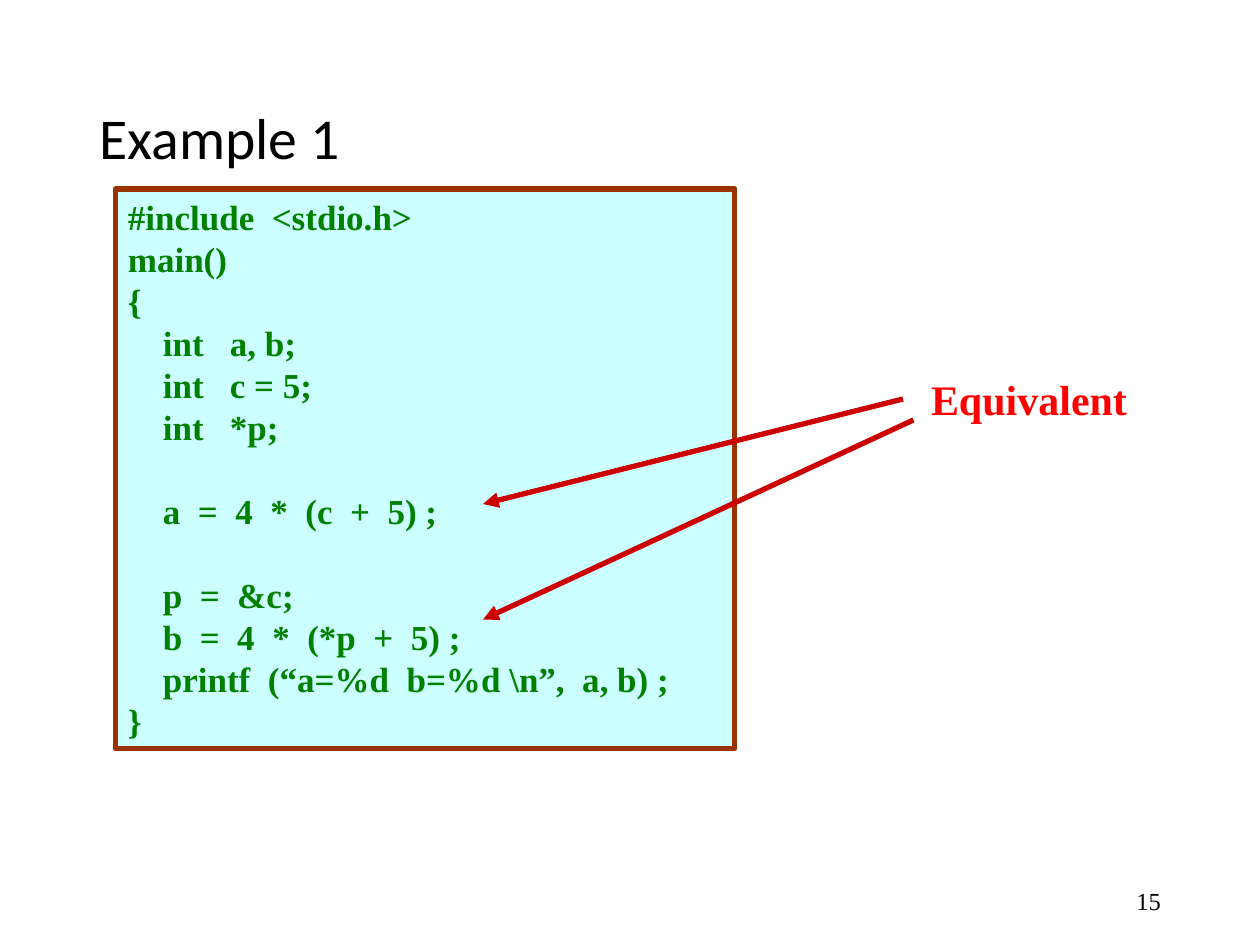
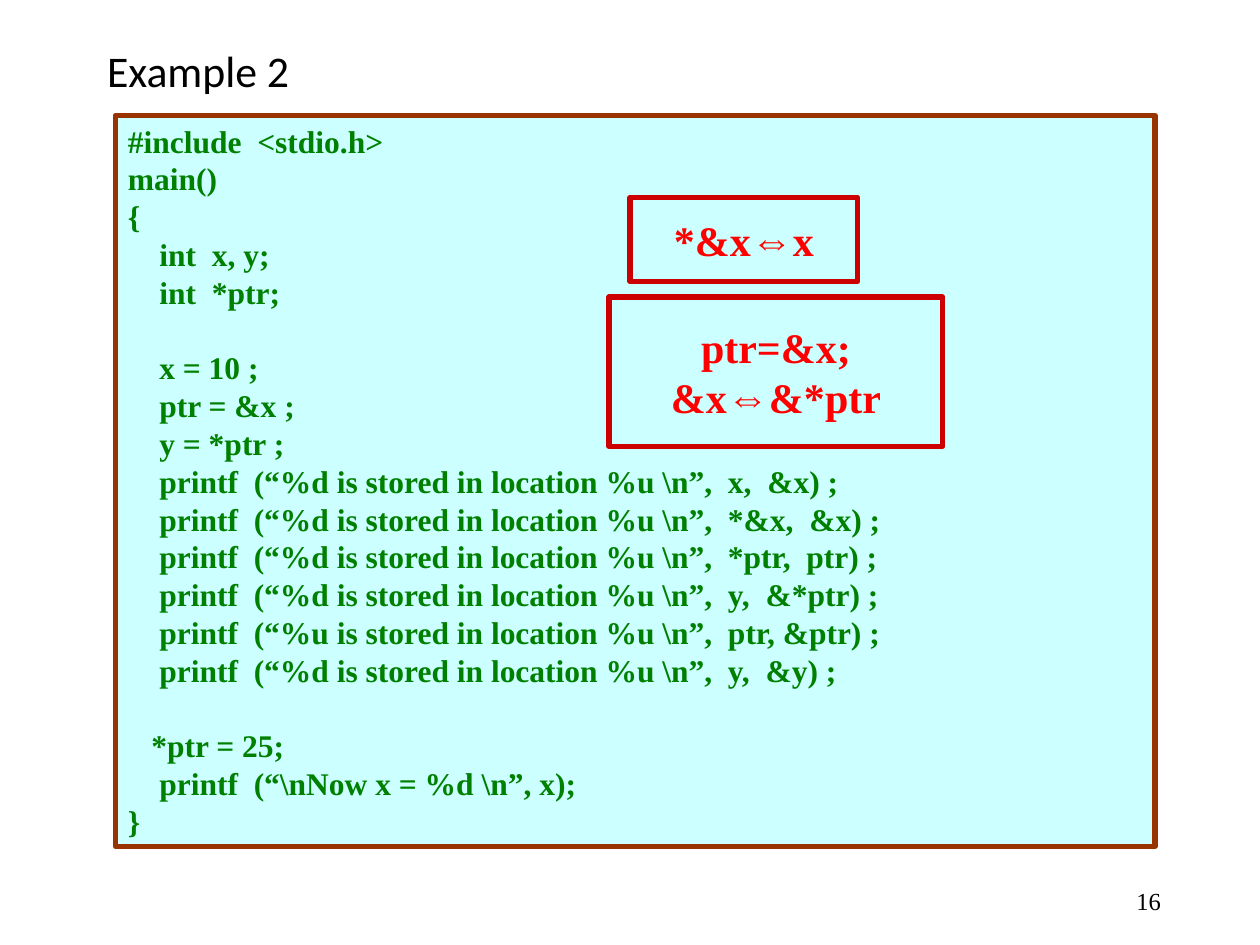
from dataclasses import dataclass
from itertools import groupby

from lxml.etree import SubElement
from pptx import Presentation
from pptx.dml.color import RGBColor
from pptx.enum.shapes import MSO_CONNECTOR as Connector, MSO_SHAPE as Shape
from pptx.enum.text import MSO_ANCHOR as Anchor, MSO_AUTO_SIZE as AutoSize, PP_ALIGN as Align
from pptx.oxml.ns import qn
from pptx.util import Inches, Pt

# Shared grid and style
WIDTH, HEIGHT = Inches(10), Inches(7.5)
COLUMNS, ROWS = 120, 90
BLACK, GREEN, RED = "000000", "008000", "FF0000"
PALE_CYAN, BROWN, DARK_RED = "CCFFFF", "993300", "CC0000"
SERIF, SANS, SYMBOL = "Times New Roman", "Calibri", "Arial"
LINE_WIDTH = Pt(3)
LINE_PITCH = 1.2
SPACE_WIDTH = 0.25
EQUIVALENT_SIGN = "⇔"


@dataclass(frozen=True)
class Area:
    column: float
    row: float
    columns: float
    rows: float

    def place(self) -> tuple[int, int, int, int]:
        return (across(self.column), down(self.row),
                across(self.columns), down(self.rows))


@dataclass(frozen=True)
class Listing:
    area: Area
    size: int
    code: str


@dataclass(frozen=True)
class Callout:
    area: Area
    lines: tuple[str, ...]


@dataclass(frozen=True)
class Arrow:
    start: tuple[float, float]
    end: tuple[float, float]


NUMBER_AREA = Area(84.75, 83.4, 27, 4.8)

# Slide content
EQUIVALENCE_CODE = Listing(Area(11, 18, 59, 53.3), 20, r"""#include  <stdio.h>
main()
{
    int   a, b;
    int   c = 5;
    int   *p;

    a  =  4  *  (c  +  5) ;

    p  =  &c;
    b  =  4  *  (*p  +  5) ;
    printf  (“a=%d  b=%d \n”,  a, b) ;
}""")
POINTER_CODE = Listing(Area(11, 11, 99, 69.6), 18, r"""#include  <stdio.h>
main()
{
    int  x, y;
    int  *ptr;

    x = 10 ;
    ptr = &x ;
    y = *ptr ;
    printf  (“%d is stored in location %u \n”,  x,  &x) ;
    printf  (“%d is stored in location %u \n”,  *&x,  &x) ;
    printf  (“%d is stored in location %u \n”,  *ptr,  ptr) ;
    printf  (“%d is stored in location %u \n”,  y,  &*ptr) ;
    printf  (“%u is stored in location %u \n”,  ptr, &ptr) ;
    printf  (“%d is stored in location %u \n”,  y,  &y) ;

   *ptr = 25;
    printf  (“\nNow x = %d \n”, x);
}""")
EQUIVALENT_LABEL = Area(84, 35, 28, 6)
EQUIVALENT_ARROWS = (Arrow((86, 38), (46, 48)), Arrow((87, 40), (46, 59)))
CALLOUTS = (
    Callout(Area(60, 18.8, 21.7, 8), ("*&x⇔x",)),
    Callout(Area(58, 28.3, 31.8, 14.2), ("ptr=&x;", "&x⇔&*ptr")),
)


def across(columns: float) -> int:
    return round(WIDTH * columns / COLUMNS)


def down(rows: float) -> int:
    return round(HEIGHT * rows / ROWS)


def color(value: str) -> RGBColor:
    return RGBColor.from_string(value)


def style(font, name: str, size: float, value: str, bold: bool = False) -> None:
    font.name, font.size, font.bold = name, Pt(size), bold
    font.color.rgb = color(value)


# Drawing functions
def add_page(deck, title: str, area: Area, size: int, number: int):
    page = deck.slides.add_slide(deck.slide_layouts[5])
    heading = page.shapes.title
    heading.left, heading.top, heading.width, heading.height = area.place()
    frame = heading.text_frame
    frame.text = title
    frame.auto_size = AutoSize.NONE
    frame.vertical_anchor = Anchor.MIDDLE
    para = frame.paragraphs[0]
    para.alignment, para.line_spacing = Align.LEFT, 0.9
    style(para.font, SANS, size, BLACK)
    add_label(page.shapes, str(number), NUMBER_AREA, 14, BLACK, Align.RIGHT)
    return page


def add_label(shapes, text: str, area: Area, size: int, value: str,
              alignment: Align, bold: bool = False) -> None:
    box = shapes.add_textbox(*area.place())
    frame = box.text_frame
    frame.word_wrap = True
    frame.vertical_anchor = Anchor.MIDDLE
    para = frame.paragraphs[0]
    para.text, para.alignment = text, alignment
    style(para.font, SERIF, size, value, bold)


def add_panel(shapes, area: Area, border: str, anchor: Anchor):
    panel = shapes.add_shape(Shape.RECTANGLE, *area.place())
    panel.shadow.inherit = False
    panel.fill.solid()
    panel.fill.fore_color.rgb = color(PALE_CYAN)
    panel.line.color.rgb = color(border)
    panel.line.width = LINE_WIDTH
    panel.text_frame.vertical_anchor = anchor
    return panel.text_frame


def add_listing(shapes, listing: Listing) -> None:
    frame = add_panel(shapes, listing.area, BROWN, Anchor.TOP)
    pitch = Pt(listing.size * LINE_PITCH)
    para, gap = frame.paragraphs[0], False
    for line in listing.code.splitlines():
        # An empty line of code becomes space above the next one
        if not line:
            gap = True
            continue
        if para.runs:
            para = frame.add_paragraph()
        statement = line.lstrip()
        para.text, para.alignment = statement, Align.LEFT
        para.line_spacing = pitch
        para.space_before = pitch if gap else Pt(0)
        spaces = len(line) - len(statement)
        properties = para._p.get_or_add_pPr()
        properties.set("marL", str(Pt(spaces * SPACE_WIDTH * listing.size)))
        properties.set("indent", "0")
        style(para.font, SERIF, listing.size, GREEN, bold=True)
        gap = False


def add_callout(shapes, callout: Callout) -> None:
    frame = add_panel(shapes, callout.area, DARK_RED, Anchor.MIDDLE)
    frame.word_wrap = False
    for index, line in enumerate(callout.lines):
        para = frame.add_paragraph() if index else frame.paragraphs[0]
        para.alignment = Align.CENTER
        for is_sign, letters in groupby(line, lambda letter: letter == EQUIVALENT_SIGN):
            span = para.add_run()
            span.text = "".join(letters)
            style(span.font, SYMBOL if is_sign else SERIF, 24, RED, bold=True)


def add_arrow(shapes, arrow: Arrow) -> None:
    (x1, y1), (x2, y2) = arrow.start, arrow.end
    line = shapes.add_connector(Connector.STRAIGHT, across(x1), down(y1), across(x2), down(y2))
    line.line.color.rgb = color(DARK_RED)
    line.line.width = LINE_WIDTH
    SubElement(line.line._get_or_add_ln(), qn("a:tailEnd"), type="triangle")
    SubElement(line._element.spPr, qn("a:effectLst"))


def main() -> None:
    deck = Presentation()
    deck.slide_width, deck.slide_height = WIDTH, HEIGHT

    # Example 1: listing with two equivalent statements
    page = add_page(deck, "Example 1", Area(8.25, 4.75, 103.5, 17.4), 33, 15)
    add_listing(page.shapes, EQUIVALENCE_CODE)
    group = page.shapes.add_group_shape()
    add_label(group.shapes, "Equivalent", EQUIVALENT_LABEL, 24, RED, Align.CENTER, bold=True)
    for arrow in EQUIVALENT_ARROWS:
        add_arrow(group.shapes, arrow)

    # Example 2: listing with two rules on top
    page = add_page(deck, "Example 2", Area(9, 4, 102, 6), 25, 16)
    add_listing(page.shapes, POINTER_CODE)
    for callout in CALLOUTS:
        add_callout(page.shapes, callout)

    deck.save("out.pptx")


if __name__ == "__main__":
    main()
